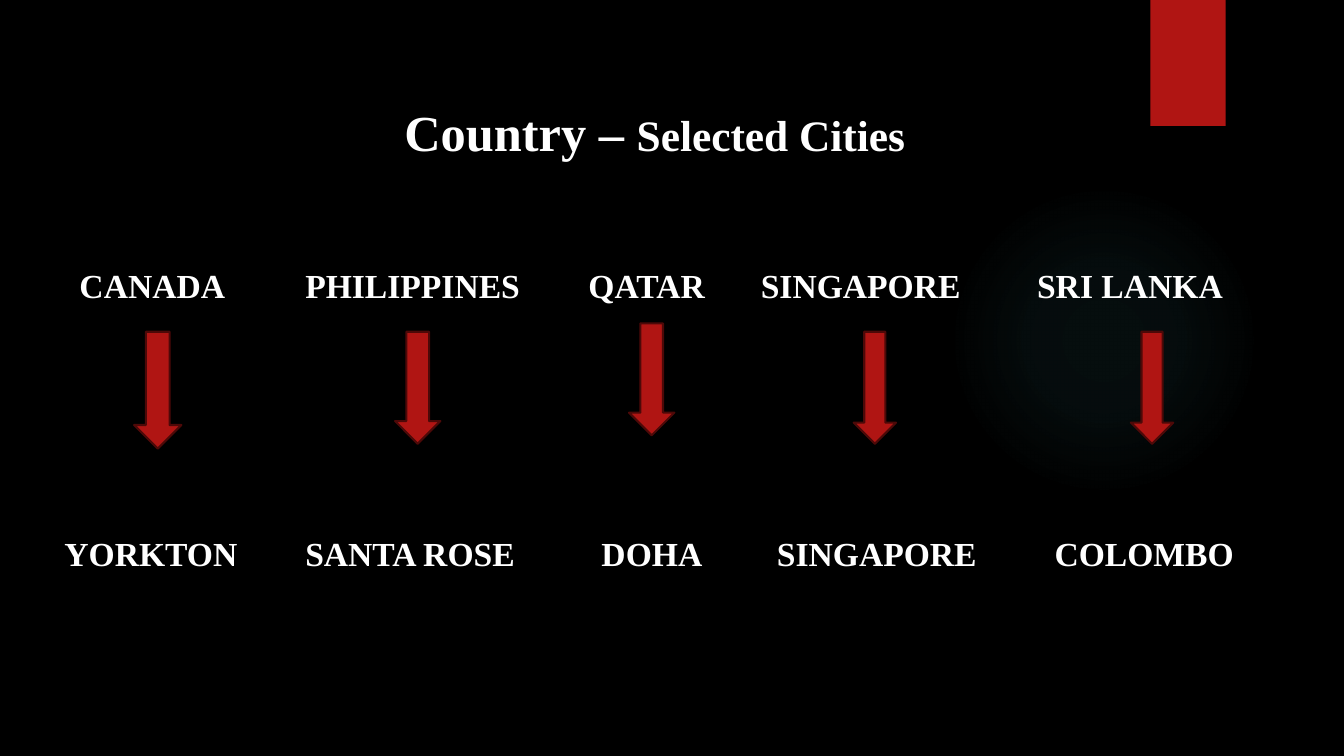
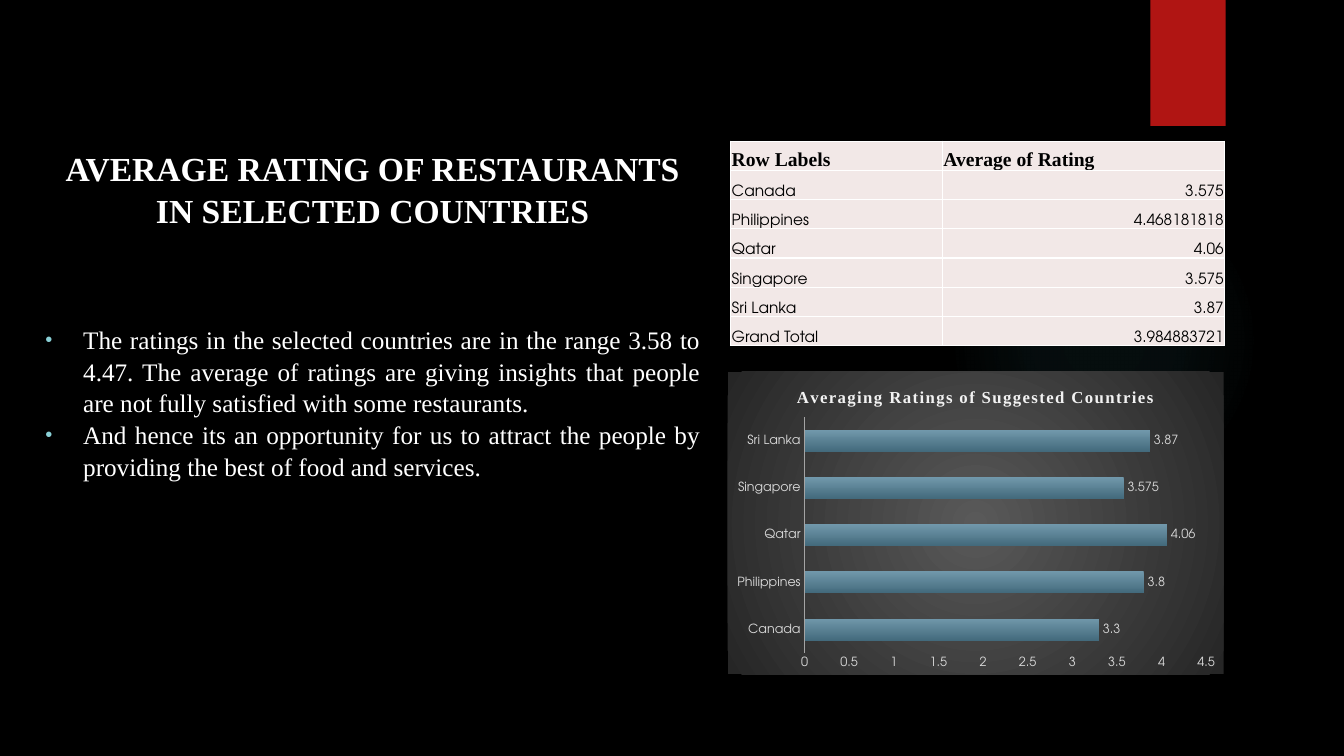
from dataclasses import dataclass
from typing import NamedTuple

from lxml import etree
from pptx import Presentation
from pptx.chart.data import CategoryChartData
from pptx.dml.color import RGBColor
from pptx.enum.chart import XL_CHART_TYPE, XL_LABEL_POSITION, XL_TICK_MARK
from pptx.enum.shapes import MSO_SHAPE
from pptx.enum.text import MSO_ANCHOR, MSO_AUTO_SIZE, PP_ALIGN
from pptx.oxml import parse_xml
from pptx.oxml.ns import nsdecls, qn
from pptx.util import Pt

BAR_CLUSTERED = XL_CHART_TYPE.BAR_CLUSTERED
OUTSIDE_END = XL_LABEL_POSITION.OUTSIDE_END
NO_TICK = XL_TICK_MARK.NONE
DOWN_ARROW, OVAL, RECTANGLE = MSO_SHAPE.DOWN_ARROW, MSO_SHAPE.OVAL, MSO_SHAPE.RECTANGLE
TOP, MIDDLE, BOTTOM = MSO_ANCHOR.TOP, MSO_ANCHOR.MIDDLE, MSO_ANCHOR.BOTTOM
LEFT, CENTER, RIGHT, JUSTIFY = PP_ALIGN.LEFT, PP_ALIGN.CENTER, PP_ALIGN.RIGHT, PP_ALIGN.JUSTIFY
FIT_NONE = MSO_AUTO_SIZE.NONE

BLACK = RGBColor(0x00, 0x00, 0x00)
WHITE = RGBColor(0xFF, 0xFF, 0xFF)
RED = RGBColor(0xB0, 0x15, 0x13)
DARK_RED = RGBColor(0x4D, 0x09, 0x08)
TEAL = RGBColor(0x50, 0xB9, 0xC1)
BULLET_TEAL = RGBColor(0x8A, 0xD0, 0xD6)
CELL_PINK = RGBColor(0xF2, 0xE8, 0xE7)
CHART_INNER = RGBColor(0x59, 0x59, 0x59)
CHART_OUTER = RGBColor(0x26, 0x26, 0x26)
CHART_TITLE = RGBColor(0xF2, 0xF2, 0xF2)
AXIS_TEXT = RGBColor(0xD9, 0xD9, 0xD9)
AXIS_LINE = RGBColor(0xA4, 0xA4, 0xA4)
BAR_TOP = RGBColor(0x71, 0x98, 0xAB)
BAR_BOTTOM = RGBColor(0x43, 0x6A, 0x7C)

SERIF = "Times New Roman"
SANS = "TeX Gyre Adventor"


class Area(NamedTuple):
    """Left, top, width and height in points."""
    left: float
    top: float
    width: float
    height: float

    def lengths(self) -> list:
        return [Pt(value) for value in self]


class Stop(NamedTuple):
    percent: int
    color: RGBColor
    opacity: int = 100


class Span(NamedTuple):
    text: str
    size: float


@dataclass
class Route:
    """A country, its arrow and the city it points to."""
    country: str
    country_left: float
    country_width: float
    city: str
    city_left: float
    city_width: float
    arrow_left: float
    arrow_width: float
    arrow_top: float = 237
    arrow_height: float = 80


ROUTES = [
    Route("CANADA", 49.7, 142, "YORKTON", 38.9, 148, 95.8, 33.8, arrow_height=83.5),
    Route("PHILIPPINES", 211, 189, "SANTA ROSE", 211, 189, 282.2, 32.4),
    Route("QATAR", 413.3, 113, "DOHA", 422.6, 102, 449.3, 32.4, arrow_top=231),
    Route("SINGAPORE", 536.4, 177, "SINGAPORE", 547.9, 189, 609.8, 30.2),
    Route("SRI LANKA", 733.7, 170, "COLOMBO", 746.2, 158, 807.8, 30.2),
]
COUNTRY_TOP, CITY_TOP, LABEL_HEIGHT = 186, 377.3, 36

FINDINGS = [
    "The ratings in the selected countries are in the range 3.58 to 4.47. The average of "
    "ratings are giving insights that people are not fully satisfied with some restaurants.",
    "And hence its an opportunity for us to attract the people by providing the best of "
    "food and services.",
]
RATING_ROWS = [
    ("Row Labels", "Average of Rating"),
    ("Canada", "3.575"),
    ("Philippines", "4.468181818"),
    ("Qatar", "4.06"),
    ("Singapore", "3.575"),
    ("Sri Lanka", "3.87"),
    ("Grand Total", "3.984883721"),
]
CHART_RATINGS = {"Canada": 3.3, "Philippines": 3.8, "Qatar": 4.06,
                 "Singapore": 3.575, "Sri Lanka": 3.87}


def style_font(font, size: float, color: RGBColor, name: str = SERIF, bold: bool = False) -> None:
    font.size, font.name, font.bold = Pt(size), name, bold
    font.color.rgb = color


def add_span(para, text: str, size: float, color: RGBColor = WHITE,
             name: str = SERIF, bold: bool = False):
    span = para.add_run()
    span.text = text
    style_font(span.font, size, color, name, bold)
    return span


def radial_fill(stops: list[Stop]):
    """Gradient that runs outwards from the centre."""
    fill = parse_xml(
        f'<a:gradFill {nsdecls("a")} rotWithShape="1"><a:gsLst/><a:path path="circle">'
        '<a:fillToRect l="50000" t="50000" r="50000" b="50000"/></a:path></a:gradFill>')
    for stop in stops:
        mark = etree.SubElement(fill[0], qn("a:gs"), pos=str(stop.percent * 1000))
        color = etree.SubElement(mark, qn("a:srgbClr"), val=str(stop.color))
        etree.SubElement(color, qn("a:alpha"), val=str(stop.opacity * 1000))
    return fill


def add_plain_shape(page, kind, area: Area, color: RGBColor):
    shape = page.shapes.add_shape(kind, *area.lengths())
    shape.shadow.inherit = False
    shape.fill.solid()
    shape.fill.fore_color.rgb = color
    shape.line.fill.background()
    return shape


def decorate_master(deck, page) -> None:
    """Black background, glow and red band for every slide."""
    master = deck.slide_master
    master.background.fill.solid()
    master.background.fill.fore_color.rgb = BLACK
    glow = add_plain_shape(page, OVAL, Area(677.5, 131.8, 221.8, 221.8), TEAL)
    solid = glow.element.spPr.find(qn("a:solidFill"))
    glow.element.spPr.replace(
        solid, radial_fill([Stop(0, TEAL, 7), Stop(36, TEAL, 6), Stop(69, TEAL, 0)]))
    band = add_plain_shape(page, RECTANGLE, Area(821.8, 0, 53.8, 90), RED)
    tree = master.element.cSld.spTree
    for offset, shape in enumerate((glow, band)):
        shape.element.nvSpPr.cNvPr.set("id", str(101 + offset))
        tree.insert(2 + offset, shape.element)


def place_text(box, area: Area, anchor):
    box.left, box.top, box.width, box.height = area.lengths()
    frame = box.text_frame
    frame.word_wrap = True
    frame.auto_size = FIT_NONE
    frame.vertical_anchor = anchor
    return frame


def set_title(page, area: Area, spans: list[Span], anchor) -> None:
    para = place_text(page.shapes.title, area, anchor).paragraphs[0]
    para.alignment = CENTER
    para.line_spacing = 1.04
    for text, size in spans:
        add_span(para, text, size, bold=True)


def add_label(page, text: str, left: float, top: float, width: float) -> None:
    area = Area(left, top, width, LABEL_HEIGHT)
    frame = place_text(page.shapes.add_textbox(*area.lengths()), area, TOP)
    add_span(frame.paragraphs[0], text, 24, bold=True)


def add_route(page, route: Route) -> None:
    add_label(page, route.country, route.country_left, COUNTRY_TOP, route.country_width)
    area = Area(route.arrow_left, route.arrow_top, route.arrow_width, route.arrow_height)
    arrow = add_plain_shape(page, DOWN_ARROW, area, RED)
    arrow.line.color.rgb = DARK_RED
    arrow.line.width = Pt(1.5)
    add_label(page, route.city, route.city_left, CITY_TOP, route.city_width)


def fill_bullets(box, area: Area, lines: list[str]) -> None:
    frame = place_text(box, area, TOP)
    for index, line in enumerate(lines):
        para = frame.add_paragraph() if index else frame.paragraphs[0]
        para.alignment = JUSTIFY
        para.space_before = para.space_after = Pt(0)
        para.line_spacing = 1.05
        add_span(para, line, 18)
        props = para._p.get_or_add_pPr()
        props.set("marL", str(Pt(27)))
        props.set("indent", str(-Pt(27)))
        color = etree.SubElement(props, qn("a:buClr"))
        etree.SubElement(color, qn("a:srgbClr"), val=str(BULLET_TEAL))
        etree.SubElement(props, qn("a:buSzPct"), val="80000")
        etree.SubElement(props, qn("a:buFont"), typeface="Arial")
        etree.SubElement(props, qn("a:buChar"), char="•")


def style_cell(cell) -> None:
    cell.vertical_anchor = BOTTOM
    cell.margin_left = cell.margin_top = cell.margin_right = Pt(0.7)
    cell.margin_bottom = Pt(0)
    props = cell._tc.get_or_add_tcPr()
    for side in ("lnL", "lnR", "lnT", "lnB"):
        border = etree.SubElement(props, qn(f"a:{side}"), w=str(Pt(1)))
        paint = etree.SubElement(border, qn("a:solidFill"))
        etree.SubElement(paint, qn("a:srgbClr"), val=str(WHITE))
    cell.fill.solid()
    cell.fill.fore_color.rgb = CELL_PINK


def add_rating_table(page, area: Area) -> None:
    frame = page.shapes.add_table(len(RATING_ROWS), 2, *area.lengths())
    table = frame.table
    table.first_row = table.horz_banding = False
    for column, width in zip(table.columns, (151.2, area.width - 151.2)):
        column.width = Pt(width)
    for row_index, texts in enumerate(RATING_ROWS):
        table.rows[row_index].height = Pt(area.height / len(RATING_ROWS))
        is_header = row_index == 0
        for column_index, text in enumerate(texts):
            cell = table.cell(row_index, column_index)
            style_cell(cell)
            para = cell.text_frame.paragraphs[0]
            para.alignment = RIGHT if column_index and not is_header else LEFT
            if is_header:
                add_span(para, text, 14, BLACK, bold=True)
            else:
                add_span(para, text, 11, BLACK, SANS)


def add_rating_chart(page, area: Area) -> None:
    data = CategoryChartData()
    data.categories = list(CHART_RATINGS)
    data.add_series("Series 1", list(CHART_RATINGS.values()))
    chart = page.shapes.add_chart(BAR_CLUSTERED, *area.lengths(), data).chart
    chart.has_legend = False
    style_font(chart.font, 10, WHITE, SANS)

    # Title
    chart.has_title = True
    chart.chart_title.include_in_layout = False
    heading = add_span(chart.chart_title.text_frame.paragraphs[0],
                       "Averaging Ratings of Suggested Countries", 12, CHART_TITLE, bold=True)
    heading._r.get_or_add_rPr().set("spc", "100")

    # Axes
    for axis in (chart.category_axis, chart.value_axis):
        axis.has_major_gridlines = False
        axis.major_tick_mark = axis.minor_tick_mark = NO_TICK
        style_font(axis.tick_labels.font, 9, AXIS_TEXT, SANS)
    chart.category_axis.format.line.color.rgb = AXIS_LINE
    chart.category_axis.format.line.width = Pt(1)
    scale = chart.value_axis
    scale.format.line.fill.background()
    scale.minimum_scale, scale.maximum_scale, scale.major_unit = 0, 4.5, 0.5

    # Bars and their values
    plot = chart.plots[0]
    plot.vary_by_categories = False
    plot.gap_width, plot.overlap = 115, -20
    series = plot.series[0]
    series.invert_if_negative = False
    paint = series.format.fill
    paint.gradient()
    paint.gradient_angle = 270
    for stop, color in zip(paint.gradient_stops, (BAR_TOP, BAR_BOTTOM)):
        stop.color.rgb = color
    labels = series.data_labels
    labels.show_value = True
    labels.position = OUTSIDE_END
    style_font(labels.font, 9, AXIS_TEXT, SANS)

    # Backdrop and plot position
    backdrop = parse_xml(f'<c:spPr {nsdecls("c", "a")}><a:ln><a:noFill/></a:ln></c:spPr>')
    backdrop.insert(0, radial_fill([Stop(0, CHART_INNER), Stop(100, CHART_OUTER)]))
    body = chart.element.find(qn("c:chart"))
    body.addnext(backdrop)
    plot_area = body.find(qn("c:plotArea"))
    for old in plot_area.findall(qn("c:layout")):
        plot_area.remove(old)
    layout = etree.Element(qn("c:layout"))
    manual = etree.SubElement(layout, qn("c:manualLayout"))
    for tag, value in (("layoutTarget", "inner"), ("xMode", "edge"), ("yMode", "edge"),
                       ("x", "0.155"), ("y", "0.15"), ("w", "0.81"), ("h", "0.78")):
        etree.SubElement(manual, qn(f"c:{tag}"), val=value)
    plot_area.insert(0, layout)


def main() -> None:
    deck = Presentation()
    deck.slide_width, deck.slide_height = Pt(960), Pt(540)

    # Countries and cities
    page = deck.slides.add_slide(deck.slide_layouts[5])
    decorate_master(deck, page)
    set_title(page, Area(190.8, 65.5, 553.7, 54.7),
              [Span("Country – ", 36), Span("Selected Cities", 31)], MIDDLE)
    for route in ROUTES:
        add_route(page, route)

    # Average ratings
    page = deck.slides.add_slide(deck.slide_layouts[1])
    set_title(page, Area(31, 100.8, 470.2, 114.5),
              [Span("AVERAGE RATING OF RESTAURANTS IN SELECTED COUNTRIES", 24)], TOP)
    fill_bullets(page.placeholders[1], Area(25.2, 226.8, 482.4, 167.8), FINDINGS)
    add_rating_chart(page, Area(519.8, 265.7, 354.2, 216))
    add_rating_table(page, Area(522, 100.8, 352.8, 146.2))

    deck.save("out.pptx")


if __name__ == "__main__":
    main()
